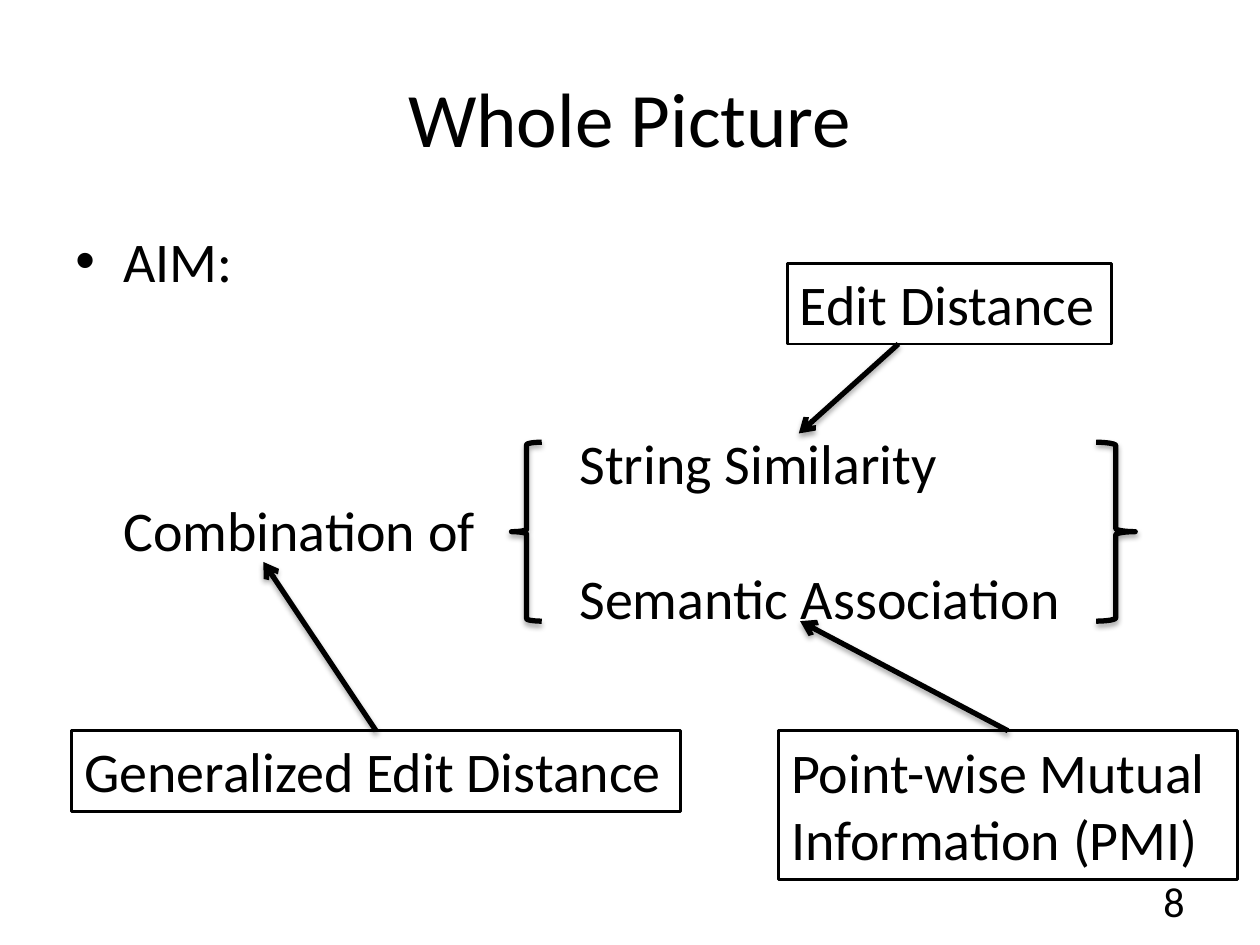
from dataclasses import dataclass

from lxml import etree
from pptx import Presentation
from pptx.dml.color import RGBColor
from pptx.enum.shapes import MSO_CONNECTOR, MSO_SHAPE
from pptx.enum.text import MSO_ANCHOR, MSO_AUTO_SIZE, PP_ALIGN
from pptx.oxml.ns import qn
from pptx.util import Inches, Pt

LEFT, CENTER, RIGHT = PP_ALIGN.LEFT, PP_ALIGN.CENTER, PP_ALIGN.RIGHT
TOP, MIDDLE = MSO_ANCHOR.TOP, MSO_ANCHOR.MIDDLE
FIT_SHAPE = MSO_AUTO_SIZE.SHAPE_TO_FIT_TEXT
STRAIGHT = MSO_CONNECTOR.STRAIGHT
RECTANGLE = MSO_SHAPE.RECTANGLE
LEFT_BRACE, RIGHT_BRACE = MSO_SHAPE.LEFT_BRACE, MSO_SHAPE.RIGHT_BRACE
TOP_SITE = 0


@dataclass(frozen=True)
class Theme:
    ink: RGBColor = RGBColor(0, 0, 0)
    font: str = "Calibri"
    title: int = 44
    body: int = 32
    number: int = 24
    thick: float = 3
    thin: float = 1.5


THEME = Theme()
COLUMNS, ROWS = 100, 75
CELL = Inches(0.1)


def grid(*cells):
    return [round(cell * CELL) for cell in cells]


def apply_format(target, values):
    for name, value in values.items():
        setattr(target, name, value)


def write(para, text, size, align=LEFT):
    para.alignment = align
    span = para.add_run()
    span.text = text
    apply_format(span.font, {"name": THEME.font, "size": Pt(size)})
    span.font.color.rgb = THEME.ink


def draw_line(shape, width):
    shape.line.color.rgb = THEME.ink
    shape.line.width = Pt(width)


def add_shadow(shape):
    effects = etree.SubElement(shape._element.spPr, qn("a:effectLst"))
    shadow = etree.SubElement(
        effects, qn("a:outerShdw"),
        {"blurRad": "40000", "dist": "23000", "dir": "5400000", "rotWithShape": "0"})
    color = etree.SubElement(shadow, qn("a:srgbClr"), val=str(THEME.ink))
    etree.SubElement(color, qn("a:alpha"), val="35000")


def add_text(page, area, text, size, align, anchor):
    box = page.shapes.add_textbox(*grid(*area))
    apply_format(box.text_frame, {"word_wrap": True, "vertical_anchor": anchor})
    write(box.text_frame.paragraphs[0], text, size, align)


def add_outline(page, area):
    lines = [
        ("AIM:", 3.8, 0, "•"),
        ("String Similarity", 40, 77, None),
        ("Combination of", 3.8, 0, None),
        ("Semantic Association", 40, 0, None),
    ]
    frame = page.shapes.add_textbox(*grid(*area)).text_frame
    frame.word_wrap = True
    for index, (text, margin, gap, bullet) in enumerate(lines):
        para = frame.add_paragraph() if index else frame.paragraphs[0]
        properties = para._p.get_or_add_pPr()
        properties.set("marL", str(grid(margin)[0]))
        if bullet:
            properties.set("indent", str(-grid(margin)[0]))
            etree.SubElement(properties, qn("a:buFont"), typeface="Arial")
            etree.SubElement(properties, qn("a:buChar"), char=bullet)
        if gap:
            para.space_before = Pt(gap)
        write(para, text, THEME.body)


def add_braces(page, area):
    left, top, width, height = area
    pair = [(LEFT_BRACE, left, 2.4), (RIGHT_BRACE, left + width - 3.1, 3.1)]
    for kind, start, depth in pair:
        brace = page.shapes.add_shape(kind, *grid(start, top, depth, height))
        brace.fill.background()
        draw_line(brace, THEME.thick)
        add_shadow(brace)


def add_callout(page, area, lines, start, end, joined):
    group = page.shapes.add_group_shape()
    box = group.shapes.add_shape(RECTANGLE, *grid(*area))
    box.shadow.inherit = False
    box.fill.background()
    draw_line(box, THEME.thin)
    frame = box.text_frame
    apply_format(frame, {"word_wrap": False, "auto_size": FIT_SHAPE, "vertical_anchor": TOP})
    for index, text in enumerate(lines):
        para = frame.add_paragraph() if index else frame.paragraphs[0]
        write(para, text, THEME.body)

    arrow = group.shapes.add_connector(STRAIGHT, *grid(*start, *end))
    if joined:
        arrow.begin_connect(box, TOP_SITE)
    draw_line(arrow, THEME.thick)
    etree.SubElement(arrow.line._get_or_add_ln(), qn("a:tailEnd"), type="arrow")
    add_shadow(arrow)


def main():
    deck = Presentation()
    apply_format(deck, {"slide_width": COLUMNS * CELL, "slide_height": ROWS * CELL})
    page = deck.slides.add_slide(deck.slide_layouts[6])

    add_text(page, (5, 3, 90, 12.5), "Whole Picture", THEME.title, CENTER, MIDDLE)
    add_outline(page, (5, 17.5, 90, 49.5))
    add_braces(page, (40.6, 35.1, 49.5, 14.2))

    callouts = [
        ((62.5, 20.9, 25.7, 6.4), ["Edit Distance"], (71.3, 27.3), (63.4, 34.4), False),
        ((61.8, 58, 36.4, 11.8), ["Point-wise Mutual", "Information (PMI)"],
         (80, 58), (63.5, 49.3), True),
        ((5.7, 58, 48.3, 6.4), ["Generalized Edit Distance"], (29.8, 58), (20.9, 44.6), True),
    ]
    for callout in callouts:
        add_callout(page, *callout)

    add_text(page, (71.7, 69.5, 23.3, 4), "8", THEME.number, RIGHT, MIDDLE)
    deck.save("out.pptx")


if __name__ == "__main__":
    main()
